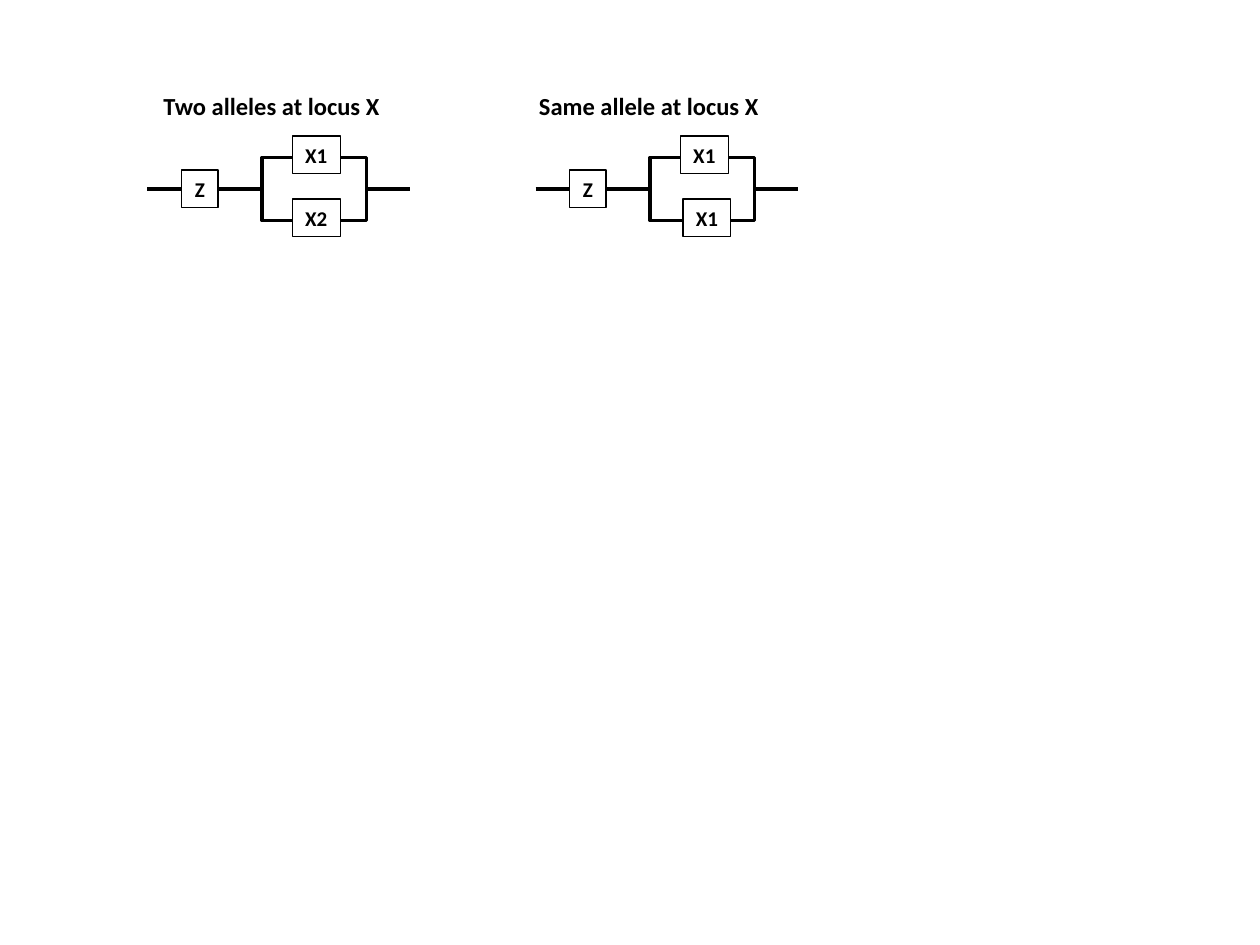
from dataclasses import dataclass

from lxml import etree
from pptx import Presentation
from pptx.dml.color import RGBColor
from pptx.enum.shapes import MSO_CONNECTOR, MSO_SHAPE
from pptx.enum.text import MSO_ANCHOR, MSO_AUTO_SIZE, PP_ALIGN
from pptx.oxml.ns import qn
from pptx.util import Inches, Pt

RECT = MSO_SHAPE.RECTANGLE
STRAIGHT = MSO_CONNECTOR.STRAIGHT
MIDDLE = MSO_ANCHOR.MIDDLE
TOP = MSO_ANCHOR.TOP
FIT = MSO_AUTO_SIZE.SHAPE_TO_FIT_TEXT
CENTER = PP_ALIGN.CENTER
LEFT_SIDE, RIGHT_SIDE = 1, 3


@dataclass(frozen=True)
class Theme:
    font: str = "Calibri"
    ink: RGBColor = RGBColor(0, 0, 0)
    paper: RGBColor = RGBColor(255, 255, 255)
    title: Pt = Pt(14)
    label: Pt = Pt(12)
    wire: Pt = Pt(2)
    border: Pt = Pt(0.75)


THEME = Theme()


def write(sp, text, size, anchor):
    tf = sp.text_frame
    tf.word_wrap = False
    tf.auto_size = FIT
    tf.vertical_anchor = anchor
    p = tf.paragraphs[0]
    p.alignment = CENTER
    r = p.add_run()
    r.text = text
    r.font.name = THEME.font
    r.font.size = size
    r.font.bold = True
    r.font.color.rgb = THEME.ink


def add_title(s, text, x, width):
    sp = s.shapes.add_textbox(Inches(x), Inches(0.67), Inches(width), Inches(0.34))
    write(sp, text, THEME.title, TOP)


def add_rect(group, x, y, w, h, line_width):
    sp = group.shapes.add_shape(RECT, Inches(x), Inches(y), Inches(w), Inches(h))
    sp.shadow.inherit = False
    sp.fill.background()
    sp.line.color.rgb = THEME.ink
    sp.line.width = line_width
    return sp


def add_box(group, text, x, y, width):
    sp = add_rect(group, x, y, width, 0.3, THEME.border)
    sp.fill.solid()
    sp.fill.fore_color.rgb = THEME.paper
    write(sp, text, THEME.label, TOP)


def add_wire(group, x1, x2, y):
    wire = group.shapes.add_connector(STRAIGHT, Inches(x1), Inches(y), Inches(x2), Inches(y))
    wire.line.color.rgb = THEME.ink
    wire.line.width = THEME.wire
    etree.SubElement(wire._element.spPr, qn("a:effectLst"))
    return wire


def add_circuit(s, x, upper, lower, lower_shift):
    group = s.shapes.add_group_shape()
    loop = add_rect(group, x + 0.91, 1.25, 0.83, 0.5, THEME.wire)
    add_box(group, upper, x + 1.15, 1.08, 0.38)
    add_box(group, lower, x + 1.15 + lower_shift, 1.58, 0.38)
    add_wire(group, x + 1.74, x + 2.08, 1.5).begin_connect(loop, RIGHT_SIDE)
    add_wire(group, x, x + 0.91, 1.5).end_connect(loop, LEFT_SIDE)
    add_box(group, "Z", x + 0.27, 1.35, 0.29)


def main():
    prs = Presentation()
    prs.slide_width = Inches(10)
    prs.slide_height = Inches(7.5)
    s = prs.slides.add_slide(prs.slide_layouts[6])
    add_title(s, "Two alleles at locus X", 1.17, 1.97)
    add_title(s, "Same allele at locus X", 4.17, 1.96)
    add_circuit(s, 1.17, "X1", "X2", 0)
    add_circuit(s, 4.25, "X1", "X1", 0.02)
    prs.save("out.pptx")


if __name__ == "__main__":
    main()
